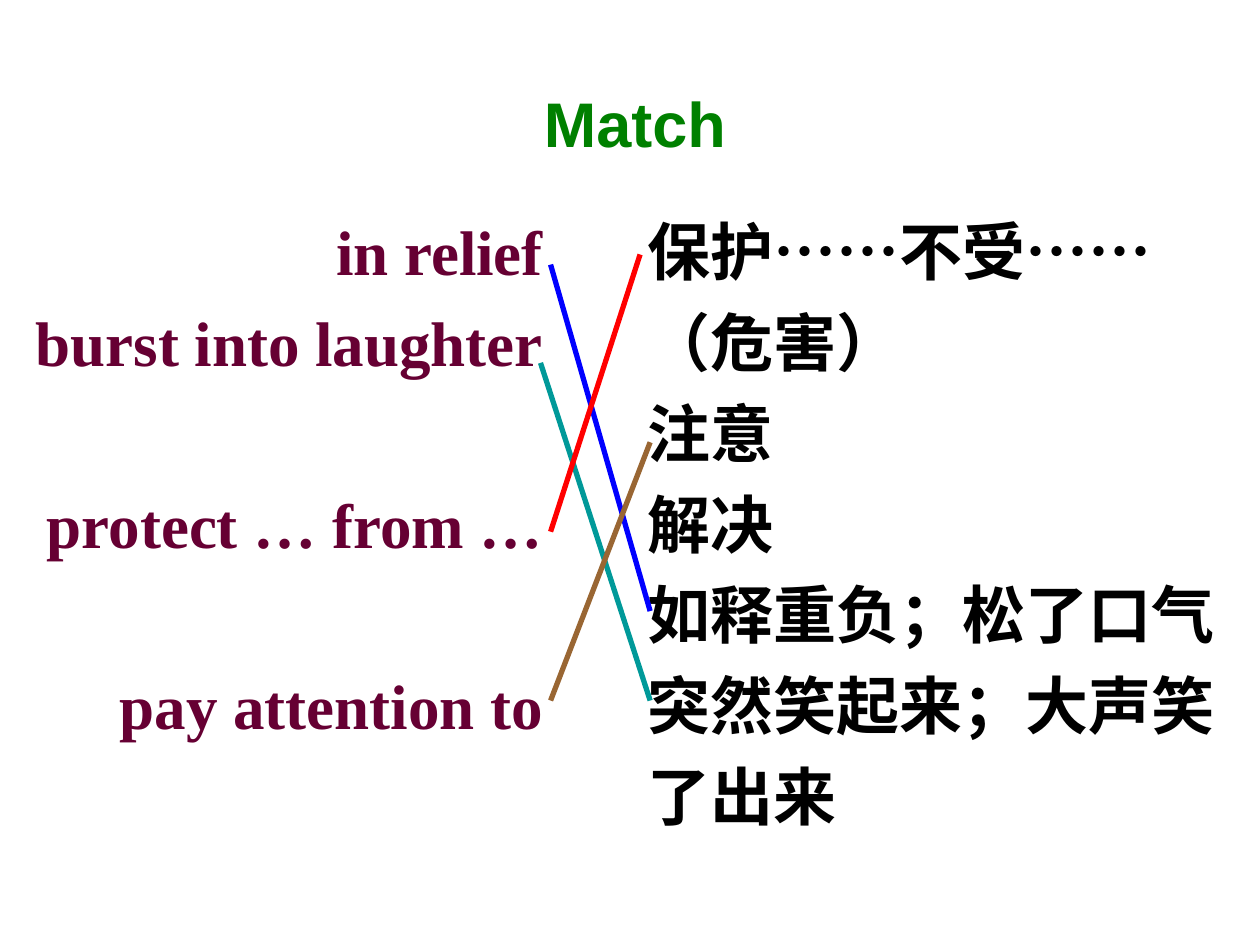
from lxml.etree import SubElement
from pptx import Presentation
from pptx.dml.color import RGBColor
from pptx.enum.shapes import MSO_CONNECTOR as Connector
from pptx.enum.text import MSO_ANCHOR as Anchor, MSO_AUTO_SIZE as AutoSize, PP_ALIGN as Align
from pptx.oxml.ns import qn
from pptx.util import Inches, Pt

ROW_HEIGHT = 51.84
PHRASES = [("in relief", 0), ("burst into laughter", 0),
           ("protect … from …", 1), ("pay attention to", 1)]
MEANINGS = [(text, 0) for text in (
    "保护……不受……", "（危害）", "注意", "解决",
    "如释重负；松了口气", "突然笑起来；大声笑", "了出来")]
MATCHES = [
    ((4.37, 2.1), (5.16, 4.85), "0000FF"),
    ((4.29, 2.88), (5.16, 5.56), "009999"),
    ((4.37, 4.22), (5.08, 2.02), "FF0000"),
    ((4.37, 5.56), (5.16, 3.51), "996633"),
]


def color(hex_code):
    return RGBColor.from_string(hex_code)


def place(box, left, top, width, height, anchor):
    box.left, box.top = Inches(left), Inches(top)
    box.width, box.height = Inches(width), Inches(height)
    frame = box.text_frame
    frame.word_wrap = True
    frame.auto_size = AutoSize.NONE
    frame.vertical_anchor = anchor
    return frame


def add_span(para, text, font_name, hex_code):
    span = para.add_run()
    span.text = text
    span.font.name = font_name
    span.font.size = Pt(36)
    span.font.bold = True
    span.font.color.rgb = color(hex_code)


def fill_title(box, text):
    frame = place(box, 3.66, 0.62, 2.76, 0.7, Anchor.BOTTOM)
    para = frame.paragraphs[0]
    para.alignment = Align.CENTER
    add_span(para, text, "Arial", "008000")


def fill_list(box, area, rows, align, hex_code):
    frame = place(box, *area, Anchor.TOP)
    for index, (text, rows_skipped) in enumerate(rows):
        para = frame.add_paragraph() if index else frame.paragraphs[0]
        para.alignment = align
        para.line_spacing = Pt(ROW_HEIGHT)
        para.space_before = Pt(ROW_HEIGHT * rows_skipped)
        properties = para._p.get_or_add_pPr()
        properties.set("marL", "0")
        properties.set("indent", "0")
        SubElement(properties, qn("a:buNone"))
        add_span(para, text, "Times New Roman", hex_code)


def add_match(page, start, end, hex_code):
    line = page.shapes.add_connector(
        Connector.STRAIGHT, *(Inches(value) for value in start + end))
    line.line.color.rgb = color(hex_code)
    line.line.width = Pt(3)
    SubElement(line._element.spPr, qn("a:effectLst"))


def main():
    deck = Presentation()
    deck.slide_width, deck.slide_height = Inches(10), Inches(7.5)
    page = deck.slides.add_slide(deck.slide_layouts[3])
    title, phrases, meanings = list(page.placeholders)[:3]
    fill_title(title, "Match")
    fill_list(phrases, (0.12, 1.52, 4.29, 4.42), PHRASES, Align.RIGHT, "660033")
    fill_list(meanings, (5.04, 1.52, 5, 5.14), MEANINGS, Align.LEFT, "000000")
    for start, end, hex_code in MATCHES:
        add_match(page, start, end, hex_code)
    deck.save("out.pptx")


if __name__ == "__main__":
    main()
